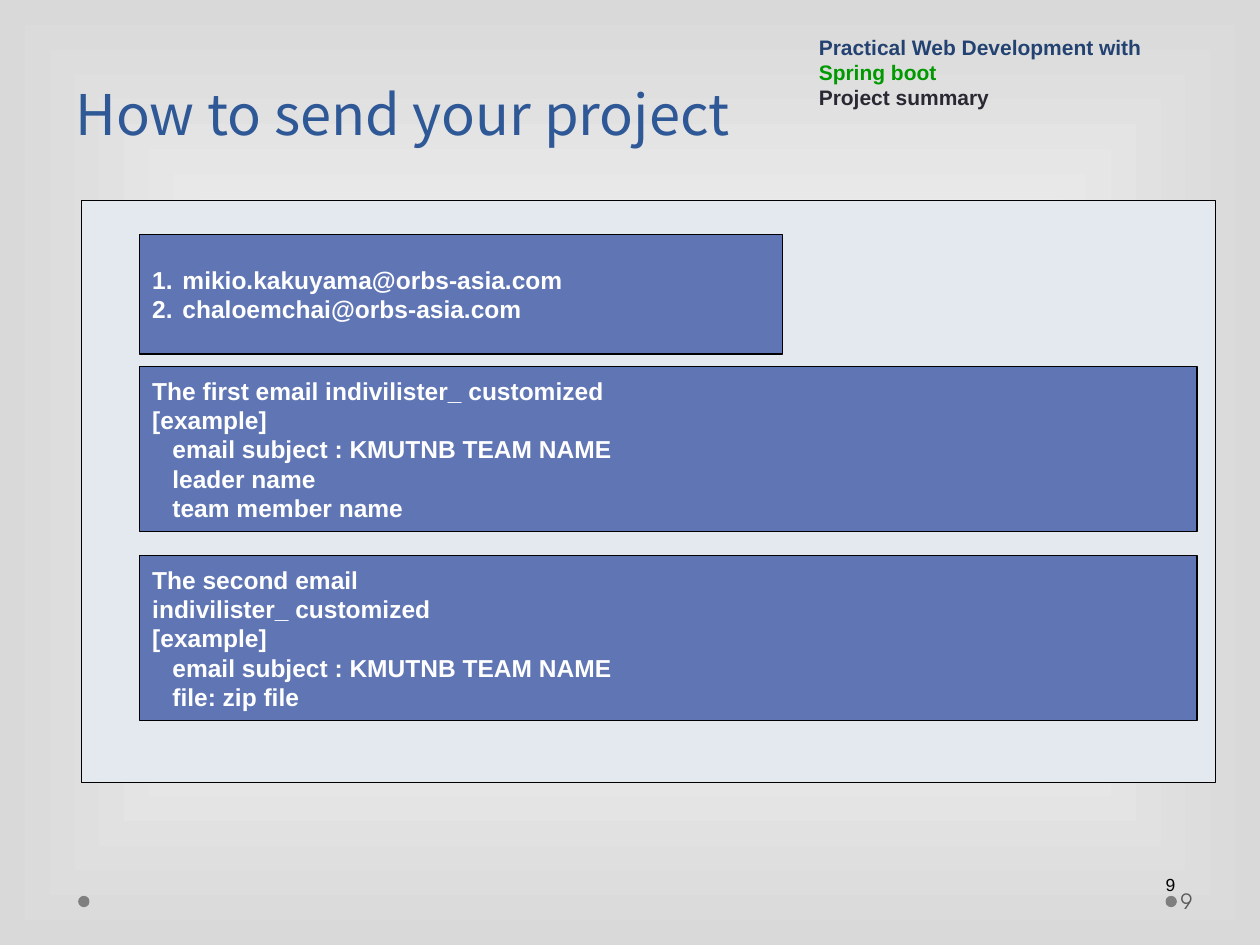
"""Build the slide that explains how to send in a project."""
from lxml.etree import SubElement
from pptx import Presentation
from pptx.dml.color import RGBColor
from pptx.enum.shapes import MSO_SHAPE as Shape
from pptx.enum.text import MSO_ANCHOR as Anchor, PP_ALIGN as Align
from pptx.oxml.ns import qn
from pptx.util import Inches, Pt

CELL = Inches(0.1)
COLUMNS, ROWS = 100, 75
BLUE, WHITE, BLACK, GRAY = "6076B4", "FFFFFF", "000000", "7F7F7F"
hex_color = RGBColor.from_string

presentation = Presentation()
presentation.slide_width, presentation.slide_height = COLUMNS * CELL, ROWS * CELL
slide = presentation.slides.add_slide(presentation.slide_layouts[6])


def add_box(left, top, width, height, fill=None, outline=None, kind=Shape.RECTANGLE,
            anchor=Anchor.MIDDLE, inset=0.1):
    """Place a filled shape, or a text box if there is no fill, on the grid."""
    place = [int(length * CELL) for length in (left, top, width, height)]
    if fill:
        shape = slide.shapes.add_shape(kind, *place)
        shape.shadow.inherit = False
        shape.fill.solid()
        shape.fill.fore_color.rgb = hex_color(fill)
        if outline:
            shape.line.color.rgb = hex_color(outline)
            shape.line.width = Pt(0.75)
        else:
            shape.line.fill.background()
    else:
        shape = slide.shapes.add_textbox(*place)
    frame = shape.text_frame
    frame.word_wrap = True
    frame.vertical_anchor = anchor
    frame.margin_left = Inches(inset)
    return frame


def write_text(frame, text, size=14, color=WHITE, font="Arial", bold=False,
               indent=0, numbered=False, spacing=None):
    """Add one formatted paragraph to a text frame."""
    first = frame.paragraphs[0]
    paragraph = frame.add_paragraph() if first.runs else first
    paragraph.alignment = Align.LEFT
    if spacing:
        paragraph.line_spacing = Pt(spacing)
    properties = paragraph._p.get_or_add_pPr()
    properties.set("marL", str(Inches(indent)))
    if numbered:
        properties.set("indent", str(-Inches(indent)))
        SubElement(properties, qn("a:buFont"), typeface="Arial")
        SubElement(properties, qn("a:buAutoNum"), type="arabicPeriod")
    run = paragraph.add_run()
    run.text = text
    run.font.size = Pt(size)
    run.font.name = font
    run.font.bold = bold
    run.font.color.rgb = hex_color(color)


background = slide.background.fill
background.gradient()
for stop, color in zip(background.gradient_stops, (WHITE, "D9D9D9")):
    stop.color.rgb = hex_color(color)
gradient = slide.element.find(".//" + qn("a:gradFill"))
gradient.remove(gradient.find(qn("a:lin")))
center = SubElement(gradient, qn("a:path"), path="rect")
SubElement(center, qn("a:fillToRect"), l="50000", t="50000", r="50000", b="50000")

for left in (92.5, 6.2):
    add_box(left, 71.1, 0.9, 0.9, fill=GRAY, kind=Shape.OVAL)
footer_number = add_box(93.4, 69.5, 6.1, 4, inset=0.03)
write_text(footer_number, "9", size=12, color="595959", font="TeX Gyre Adventor")

add_box(6.5, 15.9, 90, 46.2, fill="E4E9EF", outline=BLACK)

title = add_box(5, 4.9, 90, 7.2, anchor=Anchor.BOTTOM)
write_text(title, "How to send your project", size=32, color="2F5897",
           font="Noto Sans CJK JP", spacing=58)

page_number = add_box(92.2, 68.1, 2.8, 4.2, inset=0.03)
write_text(page_number, "9", size=10, color=BLACK)

addresses = add_box(11.1, 18.6, 51, 9.5, fill=BLUE, outline=BLACK)
for address in ("mikio.kakuyama@orbs-asia.com", "chaloemchai@orbs-asia.com"):
    write_text(addresses, address, bold=True, indent=0.24, numbered=True)

emails = [
    (29.1, ["The first email indivilister_ customized", "[example]"],
     ["email subject : KMUTNB TEAM NAME", "leader name", "team member name"]),
    (44.1, ["The second email", "indivilister_ customized", "[example]"],
     ["email subject : KMUTNB TEAM NAME", "file: zip file"]),
]
for top, heading, details in emails:
    email = add_box(11.1, top, 83.9, 13.1, fill=BLUE, outline=BLACK)
    for lines, indent in ((heading, 0), (details, 0.16)):
        for line in lines:
            write_text(email, line, bold=True, indent=indent)

course = add_box(64, 2.4, 33.2, 6.8, anchor=Anchor.BOTTOM)
for line, color in (("Practical Web Development with", "234271"),
                    ("Spring boot", "009900"), ("Project summary", "292934")):
    write_text(course, line, size=12, color=color, bold=True)

presentation.save("out.pptx")
